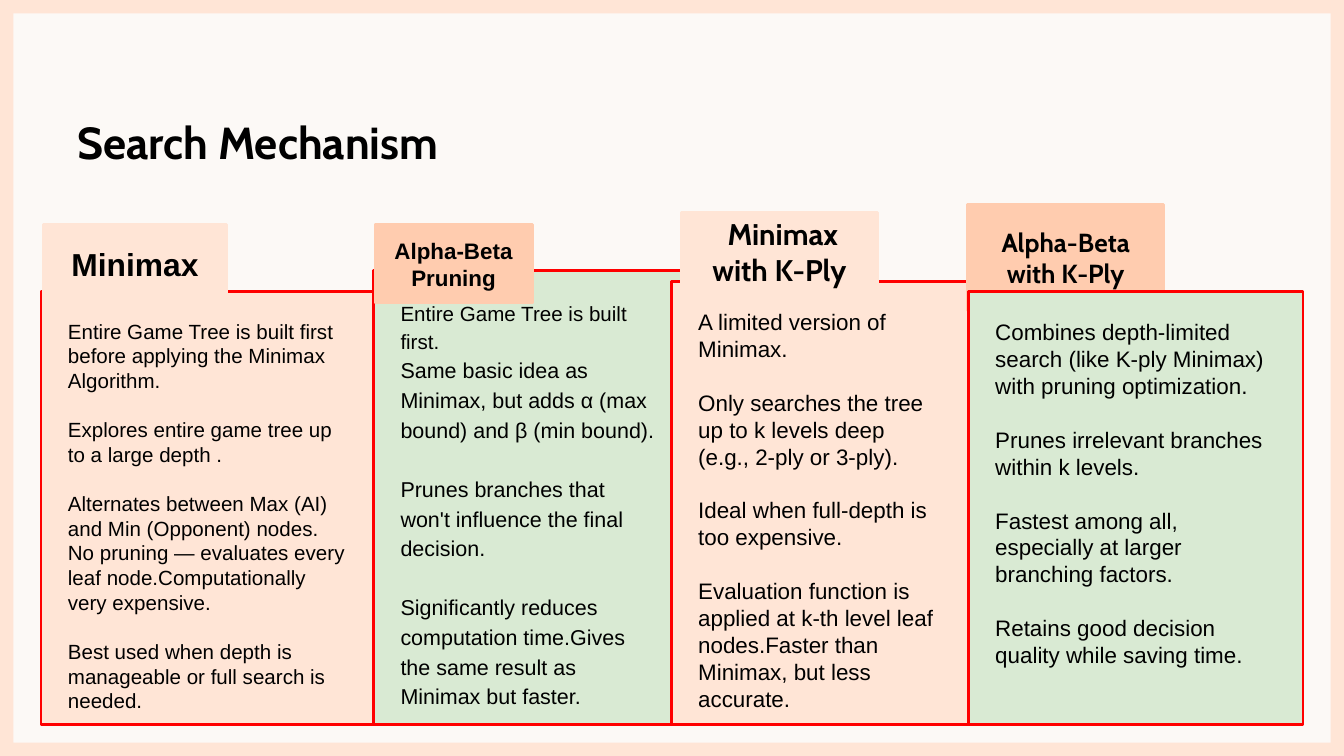
from dataclasses import dataclass

from pptx import Presentation
from pptx.dml.color import RGBColor
from pptx.enum.shapes import MSO_SHAPE as Preset
from pptx.enum.text import MSO_ANCHOR as Anchor, PP_ALIGN as Align
from pptx.util import Inches, Pt

COLORS = {
    "paper": "FCF9F6",
    "peach": "FFE5D6",
    "apricot": "FFCCAF",
    "green": "D9EAD3",
    "red": "FF0000",
    "black": "000000",
}
COLUMNS, ROWS = 100, 56.25
CELL = Inches(0.1)
PANEL_BOTTOM = 53.9
LINE_HEIGHT = 1.2  # height of a single-spaced line, as a multiple of its size


@dataclass(frozen=True)
class Area:
    """Place on the grid, in columns and rows."""
    column: float
    row: float
    columns: float
    rows: float

    def lengths(self) -> list[int]:
        return [round(n * CELL) for n in (self.column, self.row, self.columns, self.rows)]


@dataclass(frozen=True)
class Tag:
    area: Area
    color: str
    text: str
    size: float
    font: str


@dataclass(frozen=True)
class Panel:
    """Body of one algorithm; each group holds paragraphs, a blank line apart."""
    column: float
    row: float
    columns: float
    color: str
    size: float
    groups: tuple[tuple[str, ...], ...]
    spacing: float = 1.0


MINIMAX = Panel(3.05, 21.7, 24.9, "peach", 11, (
    ("Entire Game Tree is built first before applying the Minimax Algorithm.",),
    ("Explores entire game tree up to a large depth .",),
    ("Alternates between Max (AI) and Min (Opponent) nodes.",
     "No pruning — evaluates every leaf node.Computationally very expensive."),
    ("Best used when depth is manageable or full search is needed.",),
))
ALPHA_BETA = Panel(27.8, 20.1, 23.2, "green", 11.5, (
    ("Entire Game Tree is built first.",
     "Same basic idea as Minimax, but adds α (max bound) and β (min bound)."),
    ("Prunes branches that won't influence the final decision.",),
    ("Significantly reduces computation time.Gives the same result as Minimax but faster.",),
), spacing=1.15)
MINIMAX_K_PLY = Panel(49.95, 20.95, 22.1, "peach", 12, (
    ("A limited version of Minimax.",),
    ("Only searches the tree up to k levels deep (e.g., 2-ply or 3-ply).",),
    ("Ideal when full-depth is too expensive.",),
    ("Evaluation function is applied at k-th level leaf nodes.Faster than Minimax, "
     "but less accurate.",),
))
ALPHA_BETA_K_PLY = Panel(72.05, 21.7, 24.9, "green", 12, (
    ("Combines depth-limited search (like K-ply Minimax) with pruning optimization.",),
    ("Prunes irrelevant branches within k levels.",),
    ("Fastest among all, especially at larger branching factors.",),
    ("Retains good decision quality while saving time.",),
))
TAGS = (
    Tag(Area(27.9, 16.7, 11.7, 5.85), "apricot", "Alpha-Beta Pruning", 12, "Arial"),
    Tag(Area(3.25, 16.7, 13.6, 5.85), "peach", "Minimax", 17, "Arial"),
    Tag(Area(50.7, 15.8, 14.6, 5.85), "peach", " Minimax with K-Ply", 16, "Cabin"),
    Tag(Area(72, 15.2, 14.6, 7.9), "apricot", "Alpha-Beta with K-Ply", 14, "Cabin"),
)


def rgb(name: str) -> RGBColor:
    return RGBColor.from_string(COLORS[name])


def add_box(page, area: Area, fill: str, line: str | None = None):
    box = page.shapes.add_shape(Preset.RECTANGLE, *area.lengths())
    box.shadow.inherit = False
    box.fill.solid()
    box.fill.fore_color.rgb = rgb(fill)
    if line:
        box.line.color.rgb = rgb(line)
        box.line.width = Pt(1.5)
    else:
        box.line.fill.background()
    return box


def prepare_frame(box, inset: float, anchor: Anchor):
    frame = box.text_frame
    frame.word_wrap = True
    frame.vertical_anchor = anchor
    frame.margin_left = frame.margin_right = Inches(inset)
    frame.margin_top = frame.margin_bottom = Inches(inset)
    return frame


def add_span(para, text: str, size: float, font: str = "Arial", bold: bool = False) -> None:
    span = para.add_run()
    span.text = text
    span.font.size = Pt(size)
    span.font.name = font
    span.font.bold = bold
    span.font.color.rgb = rgb("black")


def draw_border(page) -> None:
    for area in (Area(0, 0, COLUMNS, 1), Area(0, ROWS - 1, COLUMNS, 1),
                 Area(0, 0, 1, ROWS), Area(COLUMNS - 1, 0, 1, ROWS)):
        add_box(page, area, "peach")


def draw_title(page, text: str) -> None:
    box = page.shapes.add_textbox(*Area(4.75, 5.9, 90.9, 9.2).lengths())
    frame = prepare_frame(box, 0.1, Anchor.MIDDLE)
    add_span(frame.paragraphs[0], text, 24, "Cabin", bold=True)


def draw_panel(page, panel: Panel) -> None:
    area = Area(panel.column, panel.row, panel.columns, PANEL_BOTTOM - panel.row)
    frame = prepare_frame(add_box(page, area, panel.color, "red"), 0.2, Anchor.TOP)
    blank_line = Pt(panel.size * LINE_HEIGHT * panel.spacing)
    for g, group in enumerate(panel.groups):
        for p, text in enumerate(group):
            first = g == p == 0
            para = frame.paragraphs[0] if first else frame.add_paragraph()
            para.alignment = Align.LEFT
            para.line_spacing = panel.spacing
            para.space_before = blank_line if g and p == 0 else Pt(0)
            # The opening line of the Alpha-Beta panel is a little smaller.
            add_span(para, text, int(panel.size) if first else panel.size)


def draw_tag(page, tag: Tag) -> None:
    box = add_box(page, tag.area, tag.color, tag.color)
    para = prepare_frame(box, 0.1, Anchor.MIDDLE).paragraphs[0]
    para.alignment = Align.CENTER
    add_span(para, tag.text, tag.size, tag.font, bold=True)


def main() -> None:
    deck = Presentation()
    deck.slide_width, deck.slide_height = COLUMNS * CELL, round(ROWS * CELL)
    page = deck.slides.add_slide(deck.slide_layouts[6])
    page.background.fill.solid()
    page.background.fill.fore_color.rgb = rgb("paper")

    draw_border(page)
    draw_title(page, "Search Mechanism")
    for panel in (MINIMAX, ALPHA_BETA, MINIMAX_K_PLY):
        draw_panel(page, panel)
    for tag in TAGS:
        draw_tag(page, tag)
    draw_panel(page, ALPHA_BETA_K_PLY)  # covers the foot of its tag

    deck.save("out.pptx")


if __name__ == "__main__":
    main()
